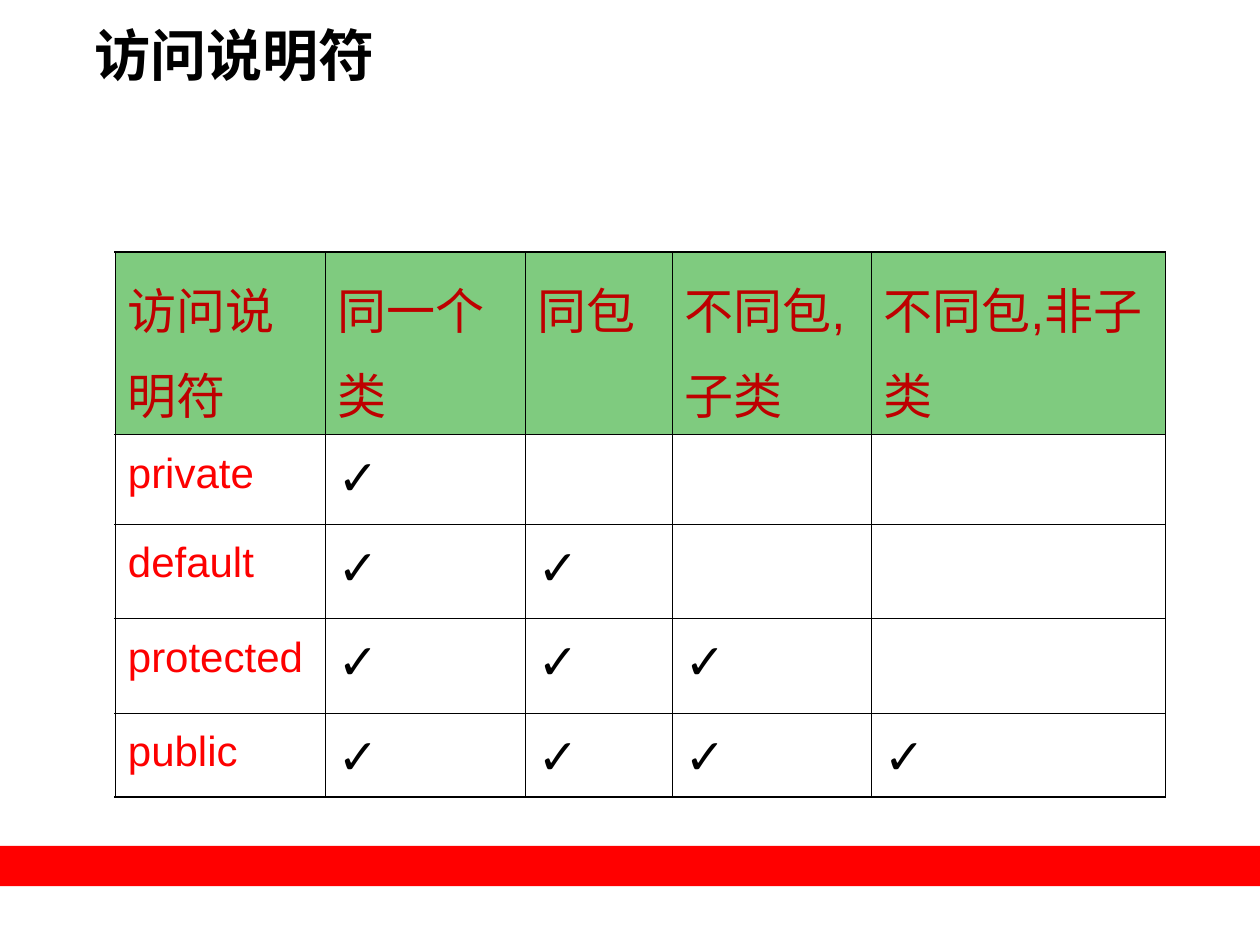
from dataclasses import dataclass

from lxml.etree import SubElement
from pptx import Presentation
from pptx.dml.color import RGBColor
from pptx.enum.shapes import MSO_SHAPE
from pptx.enum.text import MSO_ANCHOR, PP_ALIGN
from pptx.oxml import parse_xml
from pptx.oxml.ns import nsdecls, qn
from pptx.util import Pt

FONT = "Arial"
BLACK = "000000"
CHECK = "✓"
THIN, THICK = 0.45, 1.08

HEADERS = ["访问说明符", "同一个类", "同包", "不同包,子类", "不同包,非子类"]
# Each specifier is visible in one more scope than the one before it.
SPECIFIERS = ["private", "default", "protected", "public"]
COLUMN_WIDTHS = [119.9, 114.3, 84, 113.8, 168.1]
ROW_HEIGHTS = [88, 51.2, 53.9, 54.1, 48]


@dataclass(frozen=True)
class TextStyle:
    size: float
    color: str
    bold: bool = False
    line_spacing: float = 1.0
    bullet: str = ""


TITLE_STYLE = TextStyle(32, BLACK, bold=True)
HEADER_STYLE = TextStyle(28, "BE0000", line_spacing=1.2)
SPECIFIER_STYLE = TextStyle(24, "FD0000", line_spacing=1.2)
CHECK_STYLE = TextStyle(28, BLACK, line_spacing=1.2, bullet=CHECK)


def rgb(value: str) -> RGBColor:
    return RGBColor.from_string(value)


def add_bullet(paragraph, character: str, indent: float) -> None:
    properties = paragraph._p.get_or_add_pPr()
    properties.set("marL", str(Pt(indent)))
    properties.set("indent", str(-Pt(indent)))
    SubElement(properties, qn("a:buFont"), typeface=FONT)
    SubElement(properties, qn("a:buChar"), char=character)


def write(text_frame, text: str, style: TextStyle) -> None:
    text_frame.text = text
    paragraph = text_frame.paragraphs[0]
    paragraph.alignment = PP_ALIGN.LEFT
    paragraph.line_spacing = style.line_spacing
    paragraph.space_before = Pt(0)
    if style.bullet:
        add_bullet(paragraph, style.bullet, indent=style.size)
    for run in paragraph.runs:
        run.font.name = FONT
        run.font.size = Pt(style.size)
        run.font.bold = style.bold
        run.font.color.rgb = rgb(style.color)


def set_borders(cell, widths: dict[str, float]) -> None:
    """Draw the cell's sides, keyed L, R, T, B in schema order."""
    properties = cell._tc.get_or_add_tcPr()
    for index, (side, width) in enumerate(widths.items()):
        line = parse_xml(
            f'<a:ln{side} {nsdecls("a")} w="{Pt(width)}"><a:solidFill>'
            f'<a:srgbClr val="{BLACK}"/></a:solidFill></a:ln{side}>'
        )
        properties.insert(index, line)


def fill_cell(cell, color: str, opacity: int) -> None:
    cell.fill.solid()
    cell.fill.fore_color.rgb = rgb(color)
    color_element = next(cell._tc.iter(qn("a:tcPr"))).find(
        f'{qn("a:solidFill")}/{qn("a:srgbClr")}'
    )
    SubElement(color_element, qn("a:alpha"), val=str(opacity * 1000))


def add_title(slide):
    title = slide.shapes.title
    title.left, title.top, title.width, title.height = Pt(54), Pt(12), Pt(360), Pt(54)
    frame = title.text_frame
    frame.margin_left = frame.margin_right = frame.margin_top = frame.margin_bottom = 0
    frame.vertical_anchor = MSO_ANCHOR.TOP
    write(frame, "访问说明符", TITLE_STYLE)
    return title


def add_footer_bar(slide):
    bar = slide.shapes.add_shape(
        MSO_SHAPE.RECTANGLE, Pt(0), Pt(483.4), Pt(720), Pt(23)
    )
    bar.shadow.inherit = False
    bar.fill.solid()
    bar.fill.fore_color.rgb = rgb("FF0000")
    bar.line.fill.background()
    return bar


def add_access_table(slide) -> None:
    rows = [HEADERS]
    for count, specifier in enumerate(SPECIFIERS, start=1):
        # A check is a bullet, which shows only beside a run: one space.
        rows.append([specifier] + [" "] * count + [""] * (len(SPECIFIERS) - count))
    last_row, last_column = len(rows) - 1, len(HEADERS) - 1

    table = slide.shapes.add_table(
        len(rows), len(HEADERS), Pt(65.9), Pt(144),
        Pt(sum(COLUMN_WIDTHS)), Pt(sum(ROW_HEIGHTS)),
    ).table
    table.first_row = table.horz_banding = False
    for column, width in zip(table.columns, COLUMN_WIDTHS):
        column.width = Pt(width)
    for row, height in zip(table.rows, ROW_HEIGHTS):
        row.height = Pt(height)

    for i, texts in enumerate(rows):
        for j, text in enumerate(texts):
            cell = table.cell(i, j)
            if i == 0:
                style = HEADER_STYLE
                fill_cell(cell, "009900", opacity=50)
            else:
                style = SPECIFIER_STYLE if j == 0 else CHECK_STYLE
                cell.fill.background()
            if text:
                write(cell.text_frame, text, style)
            set_borders(cell, {
                "L": THICK if j == 0 else THIN,
                "R": THICK if j == last_column else THIN,
                "T": THICK if i == 0 else THIN,
                "B": THICK if i == last_row else THIN,
            })


def main() -> None:
    presentation = Presentation()
    presentation.slide_width, presentation.slide_height = Pt(720), Pt(540)
    slide = presentation.slides.add_slide(presentation.slide_layouts[5])
    title = add_title(slide)
    bar = add_footer_bar(slide)
    title.element.addprevious(bar.element)
    add_access_table(slide)
    presentation.save("out.pptx")


if __name__ == "__main__":
    main()
